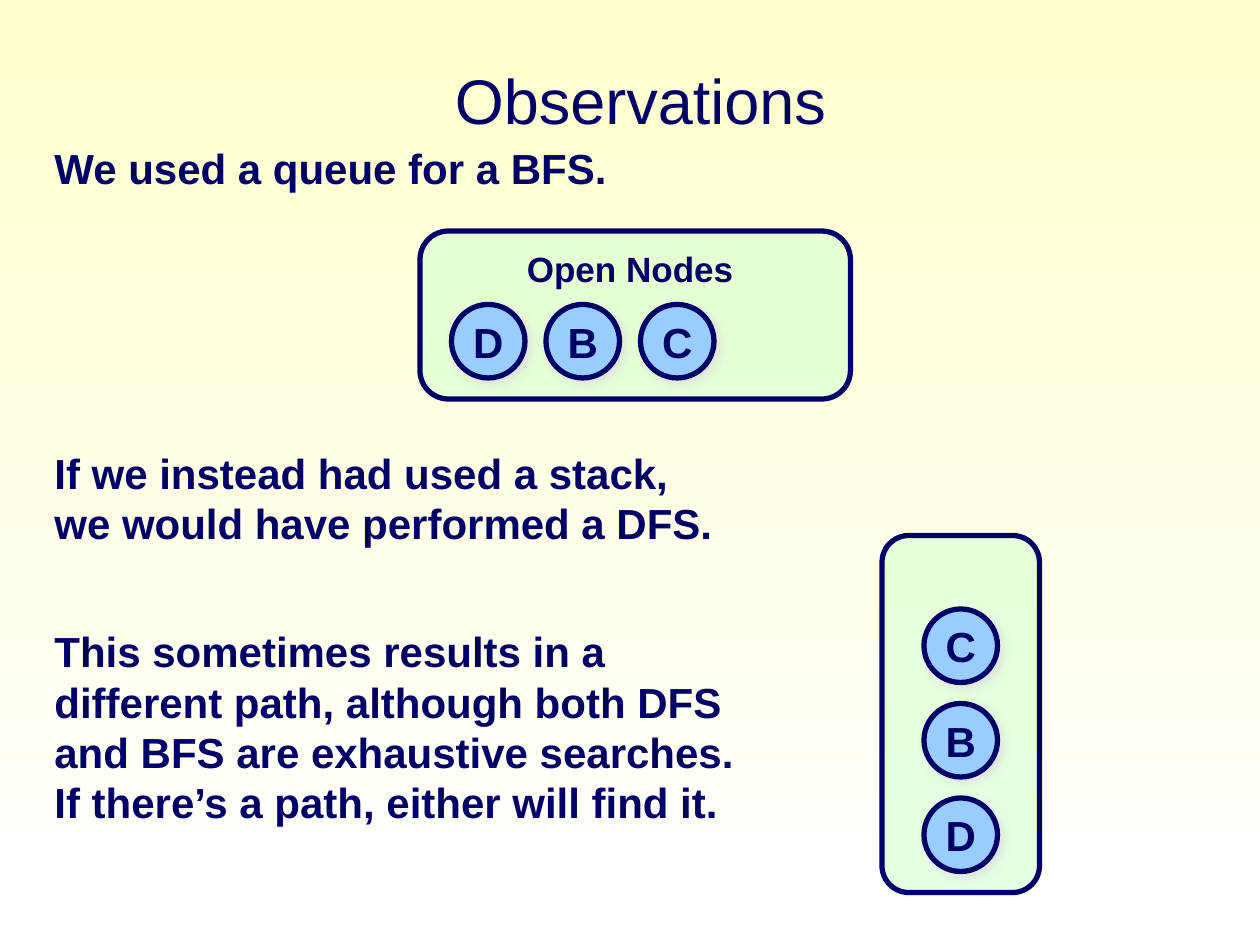
"""Build the Observations slide comparing a queue with a stack."""
from dataclasses import dataclass

from lxml import etree
from pptx import Presentation
from pptx import util as u
from pptx.dml.color import RGBColor
from pptx.enum import shapes, text
from pptx.oxml import ns

NAVY = RGBColor(0x00, 0x00, 0x66)
SKY = RGBColor(0x99, 0xCC, 0xFF)
MINT = RGBColor(0xCC, 0xFF, 0xCC)
CREAM = RGBColor(0xFF, 0xFF, 0xCC)
WHITE = RGBColor(0xFF, 0xFF, 0xFF)
SHADOW = RGBColor(0xDD, 0xDD, 0xDD)
FONT = "Arial"
COLUMNS, ROWS = 120, 90
CELL = u.Inches(10) // COLUMNS
NODE_SIZE, NODE_PITCH = 7, 9


@dataclass(frozen=True)
class Box:
    column: int
    row: int
    columns: int
    rows: int

    def lengths(self) -> tuple[int, ...]:
        return tuple(CELL * n for n in (self.column, self.row, self.columns, self.rows))


@dataclass(frozen=True)
class Label:
    box: Box
    words: str
    size: int = 24


@dataclass(frozen=True)
class Container:
    box: Box
    nodes: str
    first_column: int
    first_row: int
    column_step: int = 0
    row_step: int = 0


QUEUE = Container(Box(40, 22, 41, 16), "DBC", 43, 29, column_step=NODE_PITCH)
STACK = Container(Box(84, 51, 15, 34), "DBC", 88, 76, row_step=-NODE_PITCH)
LABELS = (
    Label(Box(4, 13, 56, 6), "We used a queue for a BFS."),
    Label(Box(49, 23, 23, 5), "Open Nodes", 20),
    Label(Box(4, 42, 66, 11),
          "If we instead had used a stack,\nwe would have performed a DFS."),
    Label(Box(4, 59, 70, 20),
          "This sometimes results in a different path, although both DFS and BFS are "
          "exhaustive searches. If there’s a path, either will find it."),
)


def write(shape, words: str, size: int, bold: bool = True, align=None) -> None:
    shape.text_frame.text = words
    for paragraph in shape.text_frame.paragraphs:
        paragraph.alignment = align
        for run in paragraph.runs:
            run.font.name, run.font.size, run.font.bold = FONT, u.Pt(size), bold
            run.font.color.rgb = NAVY


def add_outlined(slide, kind, box: Box, color: RGBColor):
    shape = slide.shapes.add_shape(kind, *box.lengths())
    shape.shadow.inherit = False
    shape.fill.solid()
    shape.fill.fore_color.rgb = color
    shape.line.color.rgb = NAVY
    shape.line.width = u.Pt(3)
    return shape


def add_node(slide, name: str, column: int, row: int) -> None:
    box = Box(column, row, NODE_SIZE, NODE_SIZE)
    node = add_outlined(slide, shapes.MSO_SHAPE.OVAL, box, SKY)
    effects = node._element.spPr.find(ns.qn("a:effectLst"))
    shadow = etree.SubElement(effects, ns.qn("a:outerShdw"), blurRad=str(u.Pt(5)),
                              dist=str(u.Pt(3)), dir=str(45 * 60000), rotWithShape="0")
    color = etree.SubElement(shadow, ns.qn("a:srgbClr"), val=str(SHADOW))
    etree.SubElement(color, ns.qn("a:alpha"), val="75000")
    node.text_frame.word_wrap = False
    node.text_frame.vertical_anchor = text.MSO_ANCHOR.MIDDLE
    write(node, name, 24, align=text.PP_ALIGN.CENTER)


def add_container(slide, container: Container) -> None:
    frame = add_outlined(slide, shapes.MSO_SHAPE.ROUNDED_RECTANGLE, container.box, MINT)
    frame.adjustments[0] = 0.17
    color = frame._element.spPr.find(ns.qn("a:solidFill"))[0]
    etree.SubElement(color, ns.qn("a:alpha"), val="50000")
    for index, name in enumerate(container.nodes):
        add_node(slide, name, container.first_column + index * container.column_step,
                 container.first_row + index * container.row_step)


def add_label(slide, label: Label) -> None:
    shape = slide.shapes.add_textbox(*label.box.lengths())
    shape.text_frame.word_wrap = True
    shape.text_frame.auto_size = text.MSO_AUTO_SIZE.SHAPE_TO_FIT_TEXT
    write(shape, label.words, label.size)


def set_background(slide) -> None:
    fill = slide.background.fill
    fill.gradient()
    fill.gradient_angle = 270
    for stop, color, position in zip(fill.gradient_stops, (CREAM, WHITE), (0, 1)):
        stop.color.rgb = color
        stop.position = position


def set_title(slide, words: str, box: Box) -> None:
    title = slide.shapes.title
    title.left, title.top, title.width, title.height = box.lengths()
    title.text_frame.vertical_anchor = text.MSO_ANCHOR.MIDDLE
    write(title, words, 36, bold=False, align=text.PP_ALIGN.CENTER)


def main() -> None:
    presentation = Presentation()
    presentation.slide_width, presentation.slide_height = COLUMNS * CELL, ROWS * CELL
    slide = presentation.slides.add_slide(presentation.slide_layouts[5])
    set_background(slide)
    set_title(slide, "Observations", Box(10, 2, 102, 15))
    for container in (QUEUE, STACK):
        add_container(slide, container)
    for label in LABELS:
        add_label(slide, label)
    presentation.save("out.pptx")


if __name__ == "__main__":
    main()
